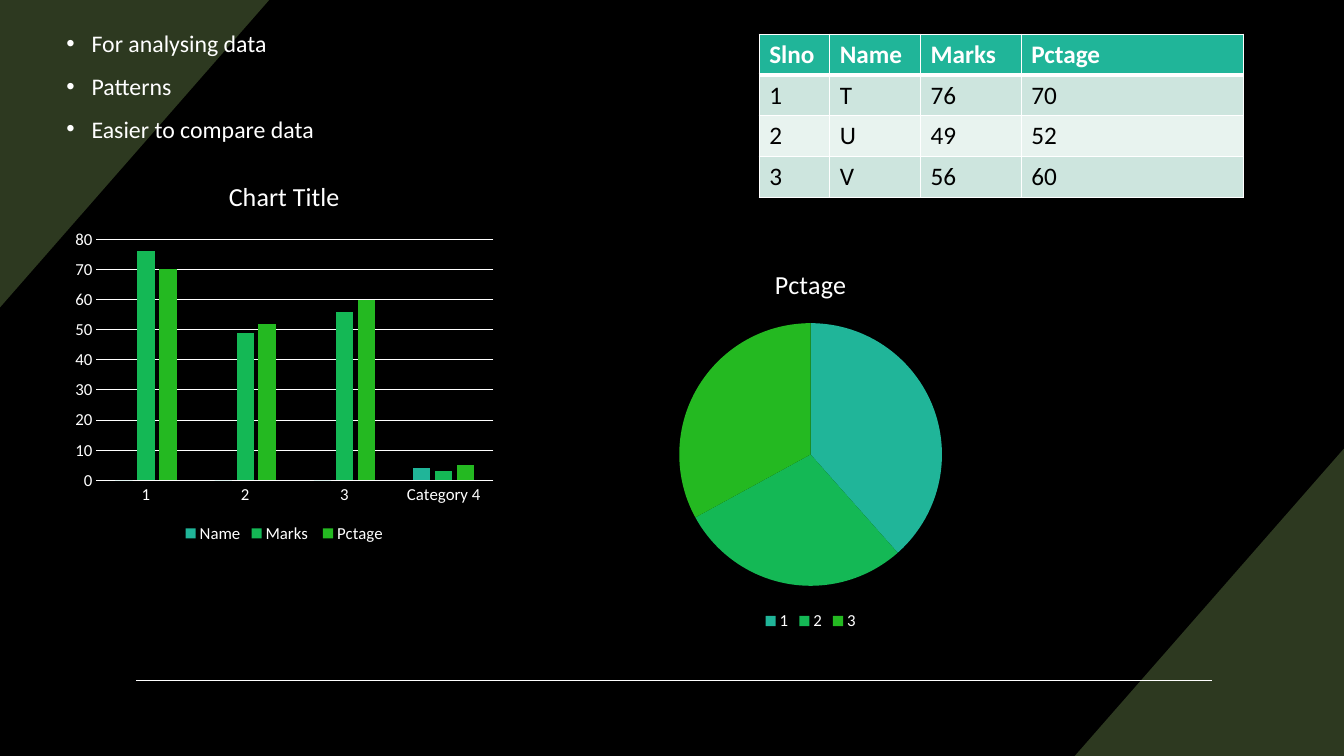
"""Build a slide that shows marks as bullets, a table, a column chart and a pie chart."""
from lxml import etree
from pptx import Presentation
from pptx.chart.data import CategoryChartData
from pptx.dml.color import RGBColor
from pptx.enum.chart import XL_CHART_TYPE, XL_LEGEND_POSITION, XL_TICK_MARK
from pptx.enum.shapes import MSO_CONNECTOR
from pptx.oxml import parse_xml
from pptx.oxml.ns import nsdecls, qn
from pptx.util import Inches, Pt

FONT = "Calibri"
WHITE = "FFFFFF"
PALETTE = ["20B599", "14B855", "24B921"]


def rgb(value):
    return RGBColor.from_string(value)


def style(font, size, color=WHITE, bold=False):
    font.name = FONT
    font.size = Pt(size)
    font.bold = bold
    font.color.rgb = rgb(color)


prs = Presentation()
prs.slide_width, prs.slide_height = Inches(13.33), Inches(7.5)
s = prs.slides.add_slide(prs.slide_layouts[6])
s.background.fill.solid()
s.background.fill.fore_color.rgb = rgb("000000")

corners = [
    [(13.33, 4.45), (13.33, 7.5), (10.66, 7.5)],
    [(0, 3.05), (0, 0), (2.67, 0)],
]
for points in corners:
    start, *rest = [(Inches(x), Inches(y)) for x, y in points]
    builder = s.shapes.build_freeform(*start)
    builder.add_line_segments(rest, close=True)
    sp = builder.convert_to_shape()
    sp.shadow.inherit = False
    sp.fill.solid()
    sp.fill.fore_color.rgb = rgb("2D3920")
    sp.line.fill.background()

rule = s.shapes.add_connector(
    MSO_CONNECTOR.STRAIGHT, Inches(1.35), Inches(6.75), Inches(12.02), Inches(6.75))
rule.line.color.rgb = rgb(WHITE)
rule.line.width = Pt(1)
etree.SubElement(rule._element.spPr, qn("a:effectLst"))

tf = s.shapes.add_textbox(Inches(0.56), Inches(0.24), Inches(4.01), Inches(1.27)).text_frame
tf.word_wrap = True
for i, text in enumerate(["For analysing data", "Patterns", "Easier to compare data"]):
    p = tf.add_paragraph() if i else tf.paragraphs[0]
    if i:
        p.space_before = Pt(10)
    pPr = p._p.get_or_add_pPr()
    pPr.set("marL", str(Inches(0.25)))
    pPr.set("indent", str(-Inches(0.25)))
    etree.SubElement(pPr, qn("a:buFont")).set("typeface", "Arial")
    etree.SubElement(pPr, qn("a:buChar")).set("char", "•")
    r = p.add_run()
    r.text = text
    style(r.font, 17)

rows = [
    ["Slno", "Name", "Marks", "Pctage"],
    ["1", "T", "76", "70"],
    ["2", "U", "49", "52"],
    ["3", "V", "56", "60"],
]
row_fills = [PALETTE[0], "CDE5DE", "E8F3EF", "CDE5DE"]
table = s.shapes.add_table(
    4, 4, Inches(7.53), Inches(0.34), Inches(4.8), Inches(1.62)).table
for column, width in zip(table.columns, [0.7, 0.9, 1, 2.2]):
    column.width = Inches(width)
for i, (row, fill) in enumerate(zip(rows, row_fills)):
    table.rows[i].height = Inches(1.62 / 4)
    for j, text in enumerate(row):
        cell = table.cell(i, j)
        widths = {"lnL": 1, "lnR": 1, "lnT": 3 if i == 1 else 1, "lnB": 3 if i == 0 else 1}
        for side, width in widths.items():
            cell._tc.get_or_add_tcPr().append(parse_xml(
                f'<a:{side} {nsdecls("a")} w="{Pt(width)}"><a:solidFill>'
                f'<a:srgbClr val="{WHITE}"/></a:solidFill></a:{side}>'))
        cell.fill.solid()
        cell.fill.fore_color.rgb = rgb(fill)
        r = cell.text_frame.paragraphs[0].add_run()
        r.text = text
        style(r.font, 18, "000000" if i else WHITE, i == 0)

column_data = CategoryChartData()
column_data.categories = ["1", "2", "3", "Category 4"]
column_data.add_series("Name", [0, 0, 0, 4])
column_data.add_series("Marks ", [76, 49, 56, 3])
column_data.add_series("Pctage", [70, 52, 60, 5])
pie_data = CategoryChartData()
pie_data.categories = ["1", "2", "3"]
pie_data.add_series("Series 1", [70, 52, 60])
pie_data.add_series("Series 2", [0, 0, 0])

charts = []
for kind, x, y, data, title in [
    (XL_CHART_TYPE.COLUMN_CLUSTERED, 0.66, 1.59, column_data, "Chart Title"),
    (XL_CHART_TYPE.PIE, 5.88, 2.46, pie_data, "Pctage"),
]:
    chart = s.shapes.add_chart(
        kind, Inches(x), Inches(y), Inches(4.32), Inches(3.84), data).chart
    chart.replace_data(data)
    style(chart.font, 10)
    chart.has_title = True
    r = chart.chart_title.text_frame.paragraphs[0].add_run()
    r.text = title
    style(r.font, 18.6)
    chart.chart_title.include_in_layout = False
    chart.has_legend = True
    chart.legend.position = XL_LEGEND_POSITION.BOTTOM
    chart.legend.include_in_layout = False
    style(chart.legend.font, 12)
    charts.append(chart)
column_chart, pie_chart = charts

columns = column_chart.plots[0]
columns.vary_by_categories = False
columns.gap_width = 219
columns.overlap = -27
pie = pie_chart.plots[0]
pie.vary_by_categories = True
slices = [series.points[i] for series in pie.series for i in range(3)]
for i, part in enumerate([*columns.series, *slices]):
    part.format.fill.solid()
    part.format.fill.fore_color.rgb = rgb(PALETTE[i % 3])

category_axis, value_axis = column_chart.category_axis, column_chart.value_axis
for axis in (category_axis, value_axis):
    axis.major_tick_mark = axis.minor_tick_mark = XL_TICK_MARK.NONE
    style(axis.tick_labels.font, 12)
value_axis.minimum_scale, value_axis.maximum_scale, value_axis.major_unit = 0, 80, 10
value_axis.format.line.fill.background()
for line in (category_axis.format.line, value_axis.major_gridlines.format.line):
    line.color.rgb = rgb(WHITE)
    line.width = Pt(0.75)

prs.save("out.pptx")
